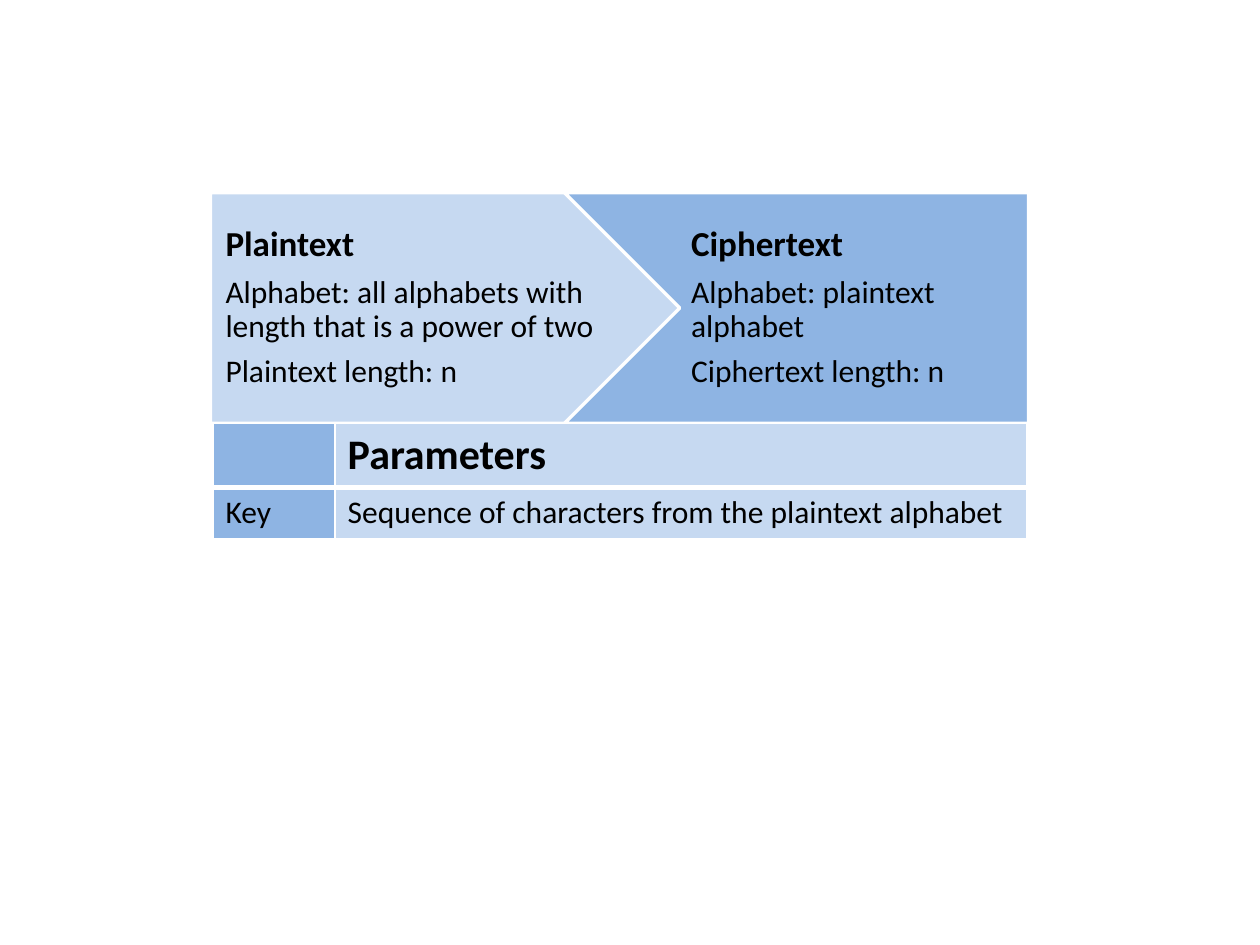
from lxml.etree import SubElement
from pptx import Presentation
from pptx.dml.color import RGBColor
from pptx.enum.shapes import MSO_SHAPE
from pptx.enum.text import MSO_ANCHOR, PP_ALIGN
from pptx.oxml.ns import qn
from pptx.util import Inches, Pt

PALE, BLUE, WHITE, BLACK = "C6D9F1", "8EB4E3", "FFFFFF", "000000"


def paint(fill, color):
    fill.solid()
    fill.fore_color.rgb = RGBColor.from_string(color)


def write(para, text, size, bold):
    run = para.add_run()
    run.text = text
    for name, value in {"name": "Calibri", "size": Pt(size), "bold": bold}.items():
        setattr(run.font, name, value)
    paint(run.font.fill, BLACK)


deck = Presentation()
deck.slide_width, deck.slide_height = Inches(10), Inches(7.5)
slide = deck.slides.add_slide(deck.slide_layouts[6])
group = slide.shapes.add_group_shape()

arrows = [
    (MSO_SHAPE.PENTAGON, 1.67, 3.94, PALE, 0.12,
     ["Plaintext", "Alphabet: all alphabets with length that is a power of two",
      "Plaintext length: n"]),
    (MSO_SHAPE.CHEVRON, 4.48, 4.61, BLUE, 0.09,
     ["Ciphertext", "Alphabet: plaintext alphabet", "Ciphertext length: n"]),
]
for kind, left, width, color, inset, lines in arrows:
    arrow = group.shapes.add_shape(
        kind, Inches(left), Inches(1.53), Inches(width), Inches(1.83))
    arrow.adjustments[0] = 0.5
    arrow.shadow.inherit = False
    paint(arrow.fill, color)
    paint(arrow.line.fill, WHITE)
    arrow.line.width = Pt(2)
    frame = arrow.text_frame
    layout = {
        "word_wrap": True, "vertical_anchor": MSO_ANCHOR.MIDDLE,
        "margin_left": Inches(inset), "margin_right": Inches(0.03),
        "margin_top": Inches(0.06), "margin_bottom": Inches(0.06),
    }
    for name, value in layout.items():
        setattr(frame, name, value)
    for i, line in enumerate(lines):
        para = frame.add_paragraph() if i else frame.paragraphs[0]
        head = i == 0
        style = {"alignment": PP_ALIGN.LEFT, "line_spacing": 0.9,
                 "space_after": Pt(7 if head else 6.3)}
        for name, value in style.items():
            setattr(para, name, value)
        write(para, line, 20 if head else 18, head)

cover = slide.shapes.add_shape(
    MSO_SHAPE.RECTANGLE, Inches(8.15), Inches(1.15), Inches(0.94), Inches(2.44))
cover.shadow.inherit = False
paint(cover.fill, WHITE)
cover.line.fill.background()

table = slide.shapes.add_table(
    2, 2, Inches(1.69), Inches(3.36), Inches(6.46), Inches(0.88)).table
for col, width in zip(table.columns, [0.97, 5.49]):
    col.width = Inches(width)
for row, height in zip(table.rows, [0.47, 0.41]):
    row.height = Inches(height)

texts = [["", "Parameters"],
         ["Key", "Sequence of characters from the plaintext alphabet"]]
for r, line in enumerate(texts):
    head = r == 0
    for c, text in enumerate(line):
        cell = table.cell(r, c)
        props = cell._tc.get_or_add_tcPr()
        for side in "LRTB":
            thick = side == ("B" if head else "T")
            edge = SubElement(props, qn("a:ln" + side), w=str(Pt(3 if thick else 0.96)))
            solid = SubElement(edge, qn("a:solidFill"))
            SubElement(solid, qn("a:srgbClr"), val=WHITE)
        paint(cell.fill, PALE if c else BLUE)
        if text:
            write(cell.text_frame.paragraphs[0], text, 24 if head else 18, head)

deck.save("out.pptx")
